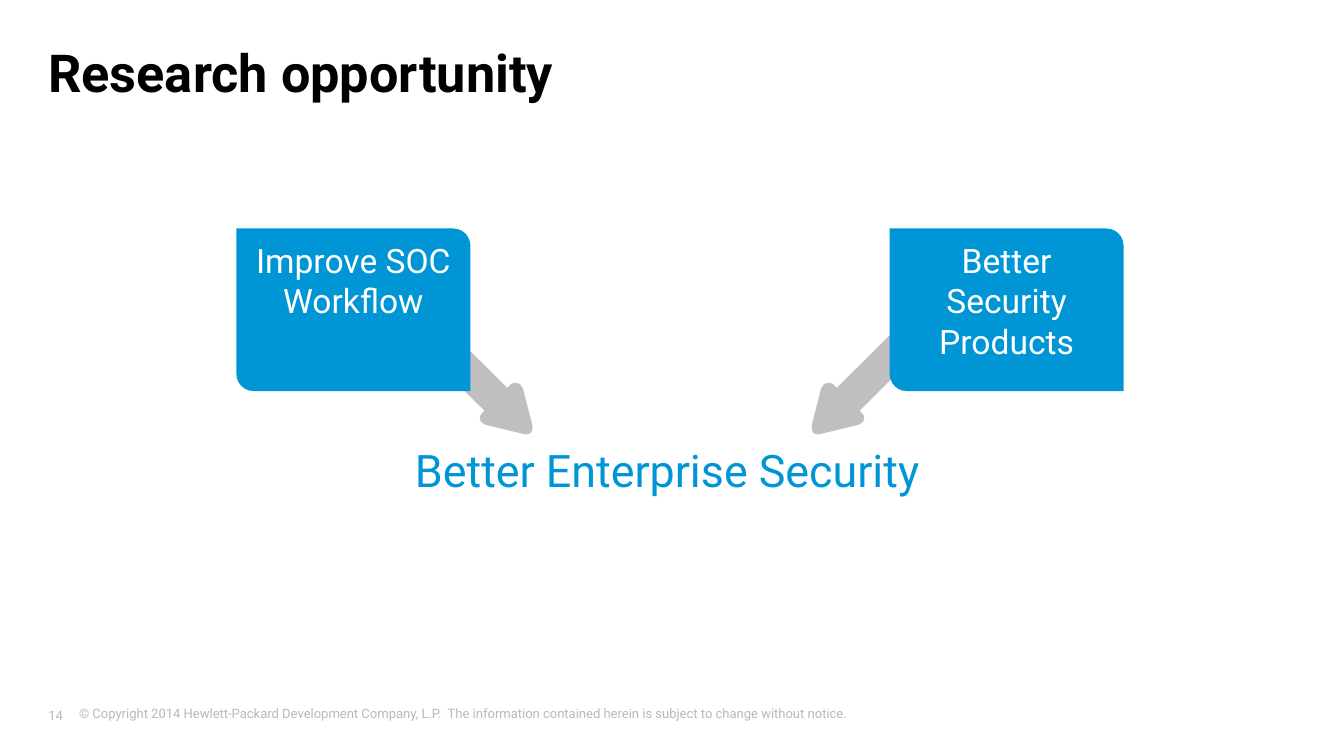
from pptx import Presentation
from pptx.dml.color import RGBColor
from pptx.enum.shapes import MSO_SHAPE as Kind
from pptx.enum.text import MSO_ANCHOR as Anchor, MSO_AUTO_SIZE as Fit, PP_ALIGN as Align
from pptx.util import Inches, Pt

TITLE = "Research opportunity"
GOAL = "Better Enterprise Security"
CAUSES = [("Better Security Products", 6.62), ("Improve SOC Workflow", 1.76)]
PAGE = "14"
LEGAL = ("© Copyright 2014 Hewlett-Packard Development Company, L.P.  "
         "The information contained herein is subject to change without notice.")

THEME = dict(font="Roboto", ink="000000", blue="0096D6", white="FFFFFF",
             gray="BFBFBF", pale="B9B8BB", title=28, goal=24, cause=18, foot=7)

# Left arrow; the right one is its mirror image.
MIRROR = 10
SHAFT = (2.18, 2.34, 1.99, 0.24)
ANGLE = 44.8
HEAD = [(3.80, 2.86), (3.59, 3.07), (3.57, 3.10), (3.57, 3.12), (3.58, 3.14),
        (3.61, 3.16), (3.90, 3.23), (3.93, 3.23), (3.95, 3.22), (3.96, 3.20),
        (3.96, 3.16), (3.89, 2.89), (3.87, 2.86), (3.85, 2.85), (3.82, 2.85)]


def color(name):
    return RGBColor.from_string(THEME[name])


def write(shape, text, size, ink, bold=False, align=Align.LEFT,
          anchor=Anchor.TOP, inset=(0.1, 0.05, 0.1, 0.05), wrap=True):
    frame = shape.text_frame
    frame.auto_size = Fit.NONE
    frame.word_wrap = wrap
    frame.vertical_anchor = anchor
    (frame.margin_left, frame.margin_top,
     frame.margin_right, frame.margin_bottom) = map(Inches, inset)
    para = frame.paragraphs[0]
    para.alignment = align
    run = para.add_run()
    run.text = text
    run.font.name = THEME["font"]
    run.font.size = Pt(THEME[size])
    run.font.bold = bold
    run.font.color.rgb = color(ink)


def paint(shape, fill):
    shape.shadow.inherit = False
    shape.fill.solid()
    shape.fill.fore_color.rgb = color(fill)
    shape.line.fill.background()


def card(shapes, box, fill):
    """Add a box rounded at top right and bottom left."""
    shape = shapes.add_shape(Kind.ROUND_2_DIAG_RECTANGLE, *map(Inches, box))
    shape.adjustments[0], shape.adjustments[1] = 0, 0.105
    paint(shape, fill)
    return shape


def arrow(shapes, flip):
    left, top, width, height = SHAFT
    if flip:
        left = MIRROR - left - width
    shaft = shapes.add_shape(Kind.LEFT_RIGHT_ARROW,
                             *map(Inches, (left, top, width, height)))
    shaft.adjustments[0], shaft.adjustments[1] = 1, 0.5
    shaft.rotation = 180 - ANGLE if flip else ANGLE
    paint(shaft, "gray")

    dots = [(Inches(MIRROR - x if flip else x), Inches(y)) for x, y in HEAD]
    pen = shapes.build_freeform(*dots[0])
    pen.add_line_segments(dots[1:], close=True)
    paint(pen.convert_to_shape(), "gray")


def main():
    deck = Presentation()
    deck.slide_width = Inches(10)
    deck.slide_height = Inches(10 * 9 / 16)
    shapes = deck.slides.add_slide(deck.slide_layouts[5]).shapes

    title = shapes.title
    title.left, title.top, title.width, title.height = map(
        Inches, (0.36, 0.3, 9.28, 0.47))
    write(title, TITLE, "title", "ink", bold=True, inset=(0, 0, 0, 0))

    legal = shapes.add_textbox(*map(Inches, (0.49, 5.2, 8.76, 0.25)))
    write(legal, LEGAL, "foot", "pale")
    page = shapes.add_textbox(*map(Inches, (0.36, 5.24, 0.35, 0.16)))
    write(page, PAGE, "foot", "pale", anchor=Anchor.MIDDLE,
          inset=(0, 0.05, 0.1, 0.05), wrap=False)

    goal = card(shapes, (1.1, 2.96, 7.73, 1.07), "white")
    write(goal, GOAL, "goal", "blue", align=Align.CENTER, anchor=Anchor.MIDDLE)

    for flip in (False, True):
        arrow(shapes, flip)
    for text, left in CAUSES:
        cause = card(shapes, (left, 1.7, 1.74, 1.21), "blue")
        write(cause, text, "cause", "white", align=Align.CENTER)

    deck.save("out.pptx")


if __name__ == "__main__":
    main()
